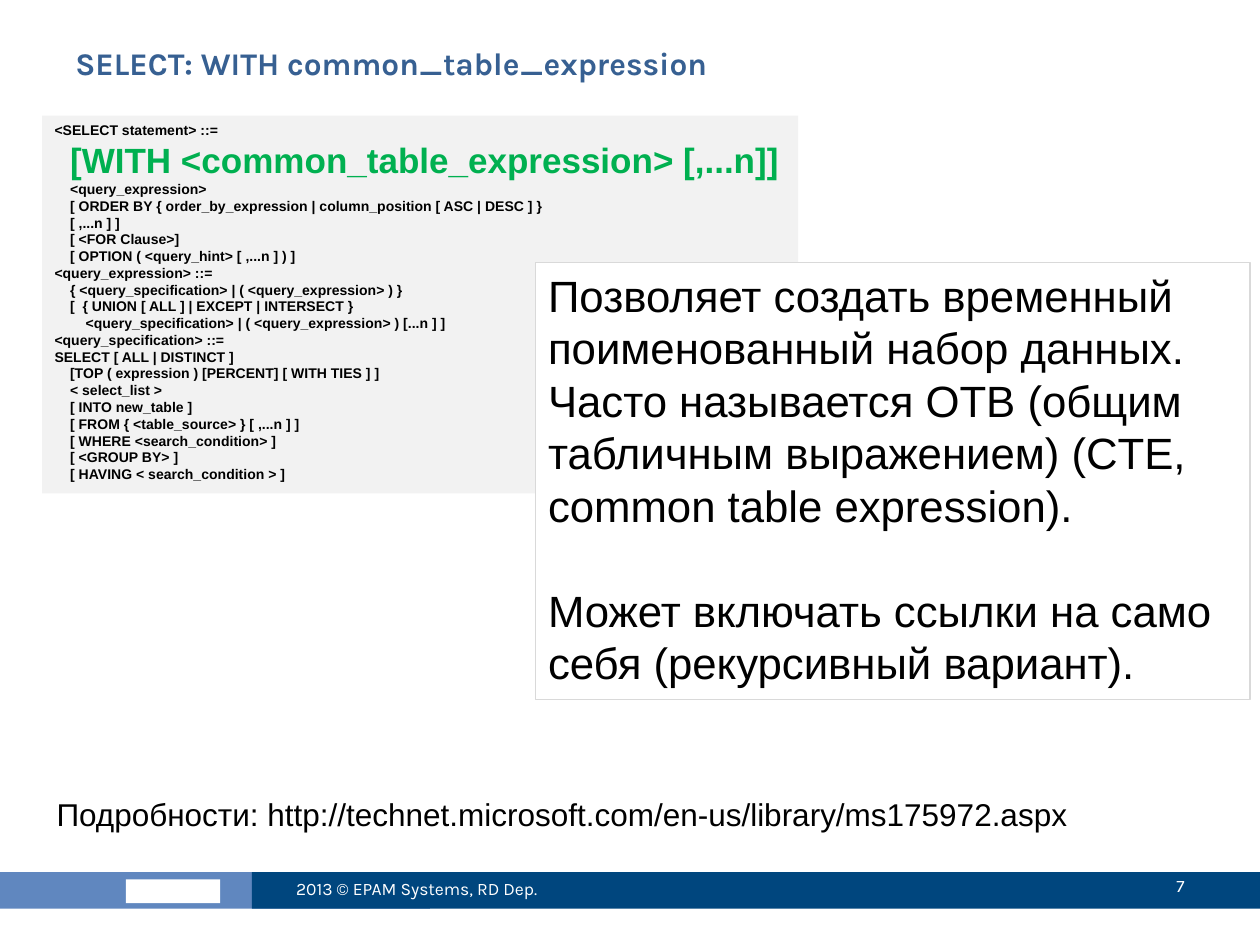
from pptx import Presentation
from pptx.dml.color import RGBColor
from pptx.enum.shapes import MSO_SHAPE
from pptx.enum.text import MSO_ANCHOR, PP_ALIGN
from pptx.util import Cm, Pt

GRAMMAR_HEAD = "<SELECT statement> ::="
GRAMMAR_FOCUS = "[WITH <common_table_expression> [,...n]]"
GRAMMAR_REST = """\
    <query_expression>
    [ ORDER BY { order_by_expression | column_position [ ASC | DESC ] }
    [ ,...n ] ]
    [ <FOR Clause>]
    [ OPTION ( <query_hint> [ ,...n ] ) ]
<query_expression> ::=
    { <query_specification> | ( <query_expression> ) }
    [  { UNION [ ALL ] | EXCEPT | INTERSECT }
        <query_specification> | ( <query_expression> ) [...n ] ]
<query_specification> ::=
SELECT [ ALL | DISTINCT ]
    [TOP ( expression ) [PERCENT] [ WITH TIES ] ]
    < select_list >
    [ INTO new_table ]
    [ FROM { <table_source> } [ ,...n ] ]
    [ WHERE <search_condition> ]
    [ <GROUP BY> ]
    [ HAVING < search_condition > ]""".split("\n")
EXPLANATION = [
    "Позволяет создать временный поименованный набор данных.",
    "Часто называется ОТВ (общим табличным выражением) (CTE, common table expression).",
    "Может включать ссылки на само себя (рекурсивный вариант).",
]


def color(value):
    return RGBColor.from_string(value)


def add_panel(slide, left, top, width, height, fill, line=None):
    panel = slide.shapes.add_shape(
        MSO_SHAPE.RECTANGLE, Cm(left), Cm(top), Cm(width), Cm(height))
    panel.shadow.inherit = False
    panel.fill.solid()
    panel.fill.fore_color.rgb = color(fill)
    if line:
        panel.line.color.rgb = color(line)
        panel.line.width = Pt(0.75)
    else:
        panel.line.fill.background()
    return panel


def add_label(slide, left, top, width, height):
    return slide.shapes.add_textbox(Cm(left), Cm(top), Cm(width), Cm(height))


def write(holder, text, size=18, ink="000000", font="Arial", bold=False,
          align=PP_ALIGN.LEFT, anchor=MSO_ANCHOR.TOP, before=0, same_line=False):
    frame = holder.text_frame
    frame.word_wrap = True
    frame.vertical_anchor = anchor
    paragraph = frame.paragraphs[-1]
    if paragraph.runs and not same_line:
        paragraph = frame.add_paragraph()
    paragraph.alignment = align
    if before:
        paragraph.space_before = Pt(before)
    run = paragraph.add_run()
    run.text = text
    run.font.size = Pt(size)
    run.font.name = font
    run.font.bold = bold
    run.font.color.rgb = color(ink)


def add_footer(slide, left, top, width, height):
    add_panel(slide, left, top, 8.67, height, "6087BF")
    add_panel(slide, left + 2.54, top + 0.15, 1.9, 0.48, "FFFFFF")
    add_panel(slide, left + 5.08, top, width - 5.08, height, "00467E")
    style = dict(size=10, ink="FFFFFF", font="Karla", anchor=MSO_ANCHOR.MIDDLE)
    copyright_line = add_label(slide, left + 5.72, top - 0.18, 6.78, 1.02)
    write(copyright_line, "2013 © EPAM Systems, RD Dep.", **style)
    page_number = add_label(slide, left + width - 4.01, top - 0.23, 2.74, 1.02)
    write(page_number, "7", align=PP_ALIGN.RIGHT, **style)


def add_title(slide, left, top, width, height):
    title = add_label(slide, left, top, width, height)
    write(title, "SELECT: WITH common_table_expression",
          ink="376092", font="Karla", bold=True)


def add_grammar(slide, left, top, width, height):
    grammar = add_panel(slide, left, top, width, height, "F2F2F2")
    write(grammar, GRAMMAR_HEAD, size=8, bold=True)
    write(grammar, "    ", size=8, bold=True)
    write(grammar, GRAMMAR_FOCUS, size=20, ink="00B050", bold=True, same_line=True)
    for rule in GRAMMAR_REST:
        write(grammar, rule, size=8, bold=True)


def add_explanation(slide, left, top, width, height):
    explanation = add_panel(slide, left, top, width, height, "FFFFFF", line="D9D9D9")
    for sentence, gap in zip(EXPLANATION, (0, 0, 30)):
        write(explanation, sentence, size=25, before=gap)


def add_reference(slide, left, top, width, height):
    reference = add_label(slide, left, top, width, height)
    write(reference,
          "Подробности: http://technet.microsoft.com/en-us/library/ms175972.aspx")


def main():
    deck = Presentation()
    deck.slide_width, deck.slide_height = Cm(25.4), Cm(19.05)
    slide = deck.slides.add_slide(deck.slide_layouts[6])
    add_footer(slide, 0, 17.58, 25.4, 0.74)
    add_title(slide, 1.27, 0.76, 22.86, 1.98)
    add_grammar(slide, 0.85, 2.33, 15.24, 7.62)
    add_explanation(slide, 10.8, 5.29, 14.4, 8.81)
    add_reference(slide, 0.89, 15.9, 23.04, 1.02)
    deck.save("out.pptx")


if __name__ == "__main__":
    main()
